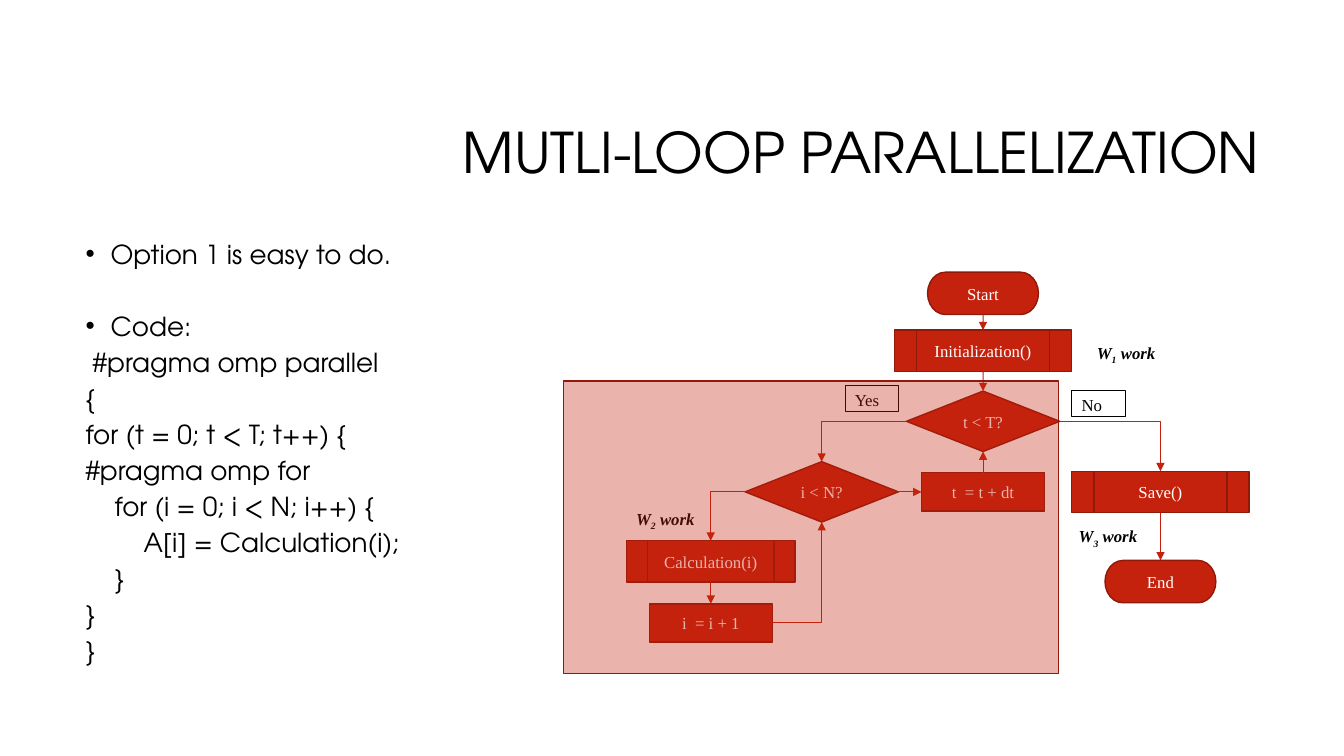
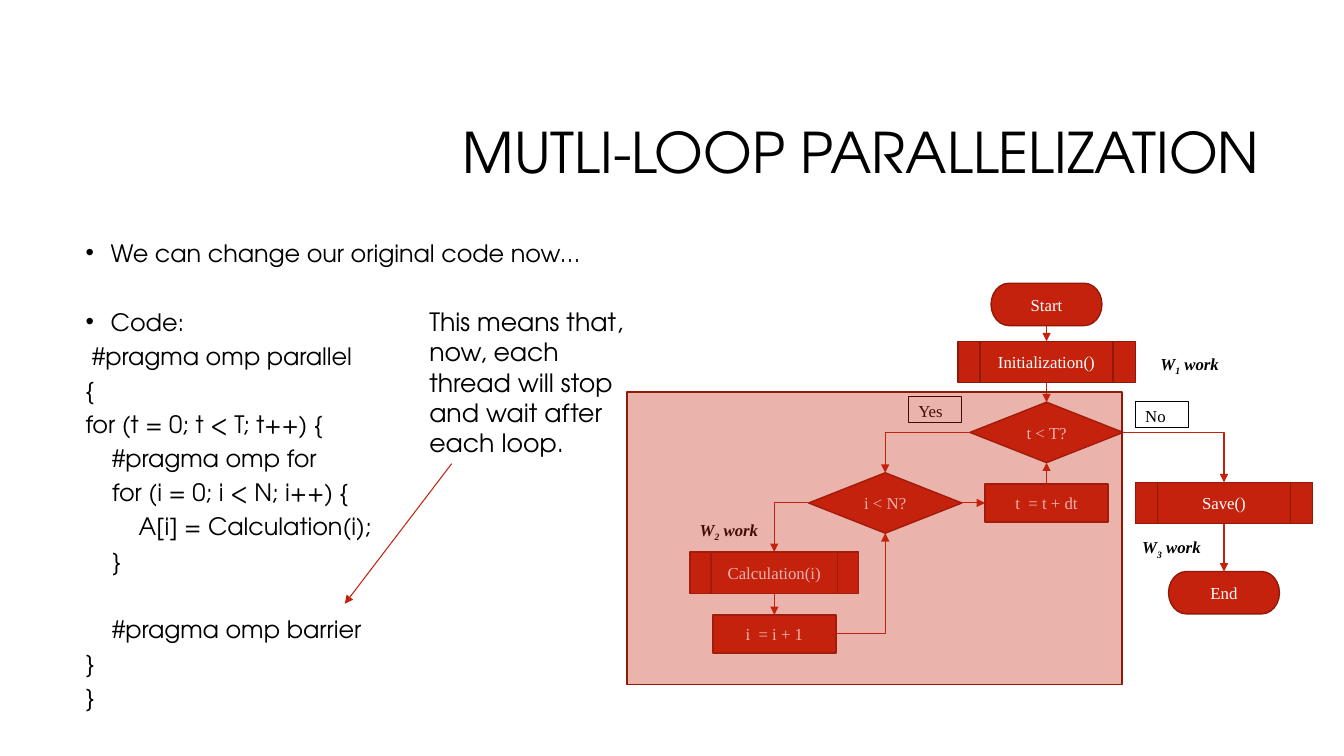
"""Builds two slides on parallelizing nested loops, each with code and a flowchart."""
from lxml.etree import SubElement
from pptx import Presentation
from pptx.dml.color import RGBColor
from pptx.enum.shapes import MSO_CONNECTOR as CONN, MSO_SHAPE as SHAPE
from pptx.enum.text import MSO_ANCHOR as ANCHOR, PP_ALIGN as ALIGN
from pptx.oxml.ns import qn
from pptx.util import Inches, Pt

RED = RGBColor(0xC4, 0x22, 0x0D)
DARK_RED = RGBColor(0x91, 0x19, 0x0A)
BLACK = RGBColor(0, 0, 0)
WHITE = RGBColor(0xFF, 0xFF, 0xFF)
SANS = "TeX Gyre Adventor"
SERIF = "Times New Roman"
TOP, LEFT, BOTTOM, RIGHT = range(4)

TERMINATOR = SHAPE.FLOWCHART_TERMINATOR, 1.1, 0.42
DECISION = SHAPE.FLOWCHART_DECISION, 1.52, 0.6
PROCESS = SHAPE.FLOWCHART_PROCESS, 1.22, 0.38
ROUTINE = SHAPE.FLOWCHART_PREDEFINED_PROCESS, 1.76, 0.41
SHORT_ROUTINE = SHAPE.FLOWCHART_PREDEFINED_PROCESS, 1.67, 0.41

NODES = {
    "start": (TERMINATOR, "Start", 9.75, 2.91),
    "init": (ROUTINE, "Initialization()", 9.75, 3.48),
    "outer": (DECISION, "t < T?", 9.75, 4.18),
    "inner": (DECISION, "i < N?", 8.15, 4.88),
    "next_t": (PROCESS, "t  = t + dt", 9.75, 4.88),
    "calc": (SHORT_ROUTINE, "Calculation(i)", 7.05, 5.57),
    "next_i": (PROCESS, "i  = i + 1", 7.05, 6.18),
    "save": (ROUTINE, "Save()", 11.51, 4.88),
    "end": (TERMINATOR, "End", 11.51, 5.77),
}
LINKS = [
    ("start", BOTTOM, "init", TOP),
    ("init", BOTTOM, "outer", TOP),
    ("outer", LEFT, "inner", TOP),
    ("outer", RIGHT, "save", TOP),
    ("inner", LEFT, "calc", TOP),
    ("inner", RIGHT, "next_t", LEFT),
    ("next_t", TOP, "outer", BOTTOM),
    ("calc", BOTTOM, "next_i", TOP),
    ("next_i", RIGHT, "inner", BOTTOM),
    ("save", BOTTOM, "end", TOP),
]
ANSWERS = [("Yes", 8.38, 3.82), ("No", 10.63, 3.87)]
WORK_LABELS = [("1", 10.78, 3.35), ("2", 6.21, 5), ("3", 10.6, 5.17)]

CODE_1 = [
    ("{", 0),
    ("for (t = 0; t < T; t++) {", 0),
    ("#pragma omp for", 0),
    ("for (i = 0; i < N; i++) {", 1),
    ("A[i] = Calculation(i);", 2),
    ("}", 1),
    ("}", 0),
    ("}", 0),
]
CODE_2 = [
    ("{", 0),
    ("for (t = 0; t < T; t++) {", 0),
    ("#pragma omp for", 1),
    ("for (i = 0; i < N; i++) {", 1),
    ("A[i] = Calculation(i);", 2),
    ("}", 1),
    ("#pragma omp barrier", 1, True),
    ("}", 0),
    ("}", 0),
]


def write(p, text, size=12, font=SERIF, color=BLACK, bold=None, italic=None,
          align=None, baseline=None):
    r = p.add_run()
    r.text = text
    f = r.font
    f.size, f.name, f.bold, f.italic = Pt(size), font, bold, italic
    f.color.rgb = color
    if align is not None:
        p.alignment = align
    if baseline is not None:
        r.font._element.set("baseline", str(baseline * 1000))


class Deck:
    def __init__(self):
        self.prs = Presentation()
        self.prs.slide_width, self.prs.slide_height = Inches(13.33), Inches(7.5)
        self.shapes = None

    def slide(self, title):
        self.shapes = self.prs.slides.add_slide(self.prs.slide_layouts[6]).shapes
        tf = self.textbox(3.17, 0.84, 9.42, 1.41)
        tf.vertical_anchor = ANCHOR.MIDDLE
        tf.paragraphs[0].line_spacing = 0.9
        write(tf.paragraphs[0], title, size=40, font=SANS, align=ALIGN.RIGHT)

    def textbox(self, x, y, w, h):
        tf = self.shapes.add_textbox(Inches(x), Inches(y), Inches(w), Inches(h)).text_frame
        tf.word_wrap = True
        return tf

    def code(self, intro, lines, size, height):
        tf = self.textbox(0.75, 2.4, 5.34, height)
        line_height = size * 1.2 * 0.7
        tab = size * 1.11 / 72
        rows = [(intro, 0, False, True), ("Code:", 0, True, True),
                (" #pragma omp parallel", 0)] + lines
        for i, (text, level, *flags) in enumerate(rows):
            gap, bullet = (flags + [False, False])[:2]
            p = tf.add_paragraph() if i else tf.paragraphs[0]
            p.line_spacing = 0.7
            p.space_before = Pt(20 + line_height if gap else 10)
            write(p, text, size=size, font=SANS)
            pPr = p._p.get_or_add_pPr()
            pPr.set("marL", str(Inches(0.25 if bullet else level * tab)))
            pPr.set("indent", str(Inches(-0.25 if bullet else 0)))
            if bullet:
                SubElement(pPr, qn("a:buFont")).set("typeface", "Arial")
                SubElement(pPr, qn("a:buChar")).set("char", "•")

    def shape(self, kind, x, y, w, h, fill, line=None, width=1):
        sp = self.shapes.add_shape(kind, Inches(x), Inches(y), Inches(w), Inches(h))
        sp.shadow.inherit = False
        sp.fill.solid()
        sp.fill.fore_color.rgb = fill
        if line is None:
            sp.line.fill.background()
        else:
            sp.line.color.rgb = line
            sp.line.width = Pt(width)
        return sp

    def node(self, style, text, cx, cy):
        kind, w, h = style
        sp = self.shape(kind, cx - w / 2, cy - h / 2, w, h, RED, DARK_RED)
        sp.text_frame.vertical_anchor = ANCHOR.MIDDLE
        write(sp.text_frame.paragraphs[0], text, color=WHITE, align=ALIGN.CENTER)
        return sp

    def label(self, x, y, w, h, line=None):
        tf = self.shape(SHAPE.RECTANGLE, x, y, w, h, WHITE, line, 0.5).text_frame
        tf.vertical_anchor = ANCHOR.TOP
        tf.paragraphs[0].alignment = ALIGN.LEFT
        return tf.paragraphs[0]

    def arrow(self, x1=0, y1=0, x2=0, y2=0, kind=CONN.STRAIGHT):
        cn = self.shapes.add_connector(kind, Inches(x1), Inches(y1), Inches(x2), Inches(y2))
        cn.line.color.rgb = RED
        cn.line.width = Pt(0.75)
        spPr = cn.element.spPr
        SubElement(spPr.find(qn("a:ln")), qn("a:tailEnd")).set("type", "triangle")
        SubElement(spPr, qn("a:effectLst"))
        return cn

    def link(self, a, a_side, b, b_side):
        bent = (a_side + b_side) % 2 == 1
        cn = self.arrow(kind=CONN.ELBOW if bent else CONN.STRAIGHT)
        if bent:
            cn.element.spPr.find(qn("a:prstGeom")).set("prst", "bentConnector2")
        cn.begin_connect(a, a_side)
        cn.end_connect(b, b_side)

    def flowchart(self, dx=0, dy=0):
        nodes = {name: self.node(style, text, cx + dx, cy + dy)
                 for name, (style, text, cx, cy) in NODES.items()}
        for text, x, y in ANSWERS:
            write(self.label(x + dx, y + dy, 0.53, 0.26, BLACK), text)
        for number, x, y in WORK_LABELS:
            p = self.label(x + dx, y + dy, 0.88, 0.33)
            for text, baseline in (("W", None), (number, -25), (" work", None)):
                write(p, text, bold=True, italic=True, baseline=baseline)
        for a, a_side, b, b_side in LINKS:
            self.link(nodes[a], a_side, nodes[b], b_side)
        region = self.shape(SHAPE.RECTANGLE, 5.59 + dx, 3.78 + dy, 4.91, 2.9, RED, DARK_RED)
        color = region.element.spPr.find(qn("a:solidFill"))[0]
        SubElement(color, qn("a:alpha")).set("val", "34000")


def main():
    title = "MUTLI-LOOP PARALLELIZATION"
    deck = Deck()

    deck.slide(title)
    deck.code("Option 1 is easy to do.", CODE_1, 18.7, 4.4)
    deck.flowchart()

    deck.slide(title)
    deck.code("We can change our original code now…", CODE_2, 17.1, 4.72)
    deck.flowchart(0.63, 0.11)
    note = deck.textbox(4.16, 2.99, 2.2, 1.62)
    write(note.paragraphs[0],
          "This means that, now, each thread will stop and wait after each loop.",
          size=18, font=SANS)
    deck.arrow(4.48, 4.6, 3.42, 5.99)

    deck.prs.save("out.pptx")


if __name__ == "__main__":
    main()
